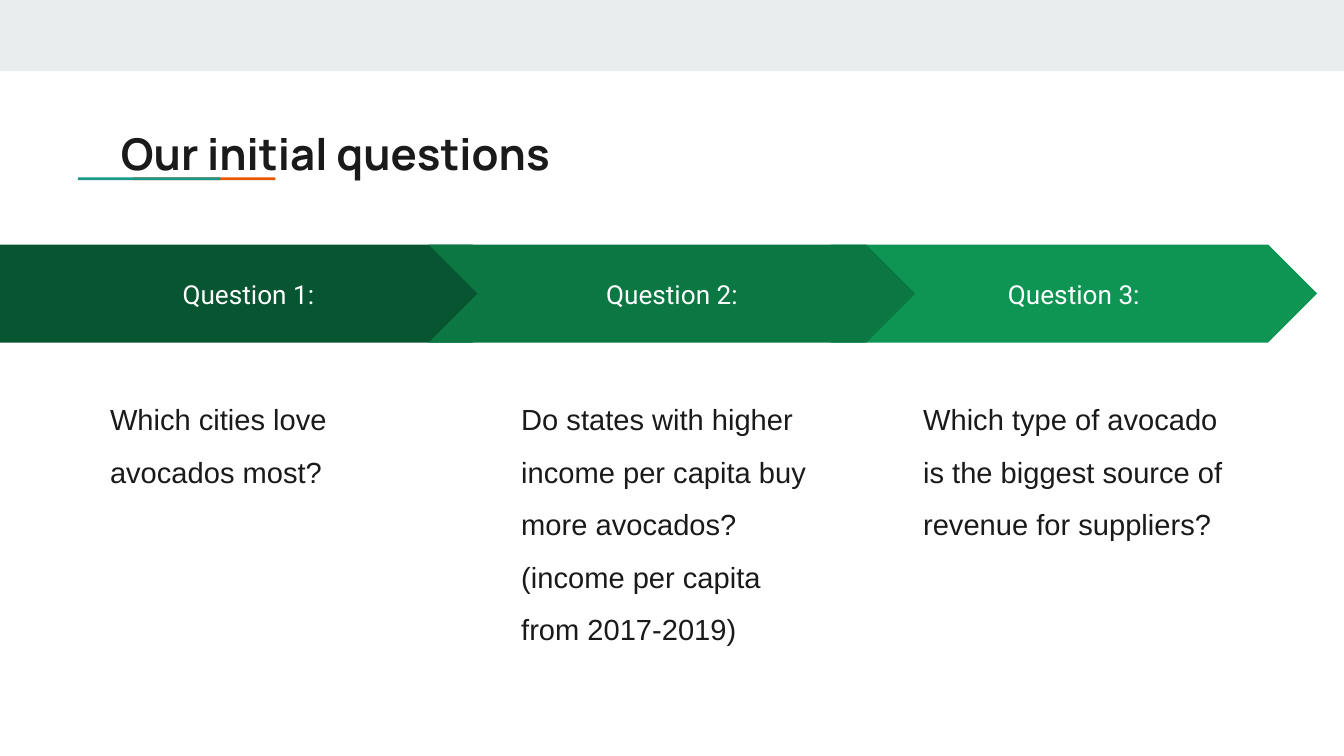
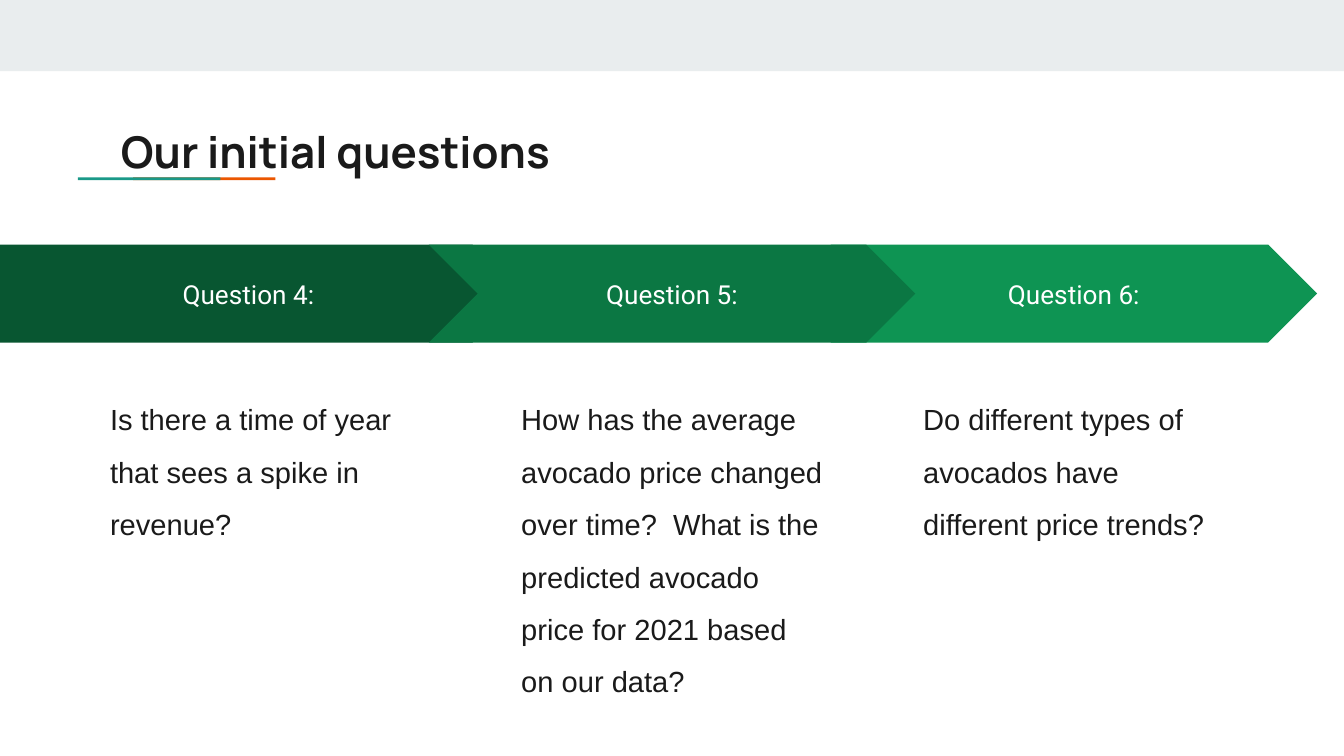
from pptx import Presentation
from pptx.dml.color import RGBColor
from pptx.enum.shapes import MSO_SHAPE as Preset
from pptx.enum.text import MSO_ANCHOR as Anchor, MSO_AUTO_SIZE as AutoSize, PP_ALIGN as Align
from pptx.util import Inches, Pt

COLORS = {
    "band": "E9EDEE",
    "orange": "EB5600",
    "teal": "1A9988",
    "ink": "1A1A1A",
    "white": "FFFFFF",
    "dark green": "085631",
    "mid green": "0B7743",
    "light green": "0E9453",
}

# Shared decoration: color, left, top, width, height
DECORATION = [
    ("band", 0, 0, 10, 0.53),
    ("orange", 0.99, 1.32, 1.06, 0.02),
    ("teal", 0.58, 1.32, 1.06, 0.02),
]

# Columns from back to front: index, preset, color, arrow left, arrow width, text left
COLUMNS = [
    (2, Preset.CHEVRON, "light green", 6.18, 3.62, 6.77),
    (0, Preset.PENTAGON, "dark green", 0, 3.88, 0.72),
    (1, Preset.CHEVRON, "mid green", 3.19, 3.62, 3.78),
]

# Title top and the three questions of each slide
SLIDES = [
    (0.84, [
        "Which cities love avocados most?",
        "Do states with higher income per capita buy more avocados? "
        "(income per capita from 2017-2019)",
        "Which type of avocado is the biggest source of revenue for suppliers?",
    ]),
    (0.83, [
        "Is there a time of year that sees a spike in revenue?",
        "How has the average avocado price changed over time?  "
        "What is the predicted avocado price for 2021 based on our data?",
        "Do different types of avocados have different price trends?",
    ]),
]


def add_block(slide, preset, color, left, top, width, height):
    shape = slide.shapes.add_shape(
        preset, Inches(left), Inches(top), Inches(width), Inches(height))
    shape.shadow.inherit = False
    shape.fill.solid()
    shape.fill.fore_color.rgb = RGBColor.from_string(COLORS[color])
    shape.line.fill.background()
    return shape


def write_text(shape, text, font_name, size, color, anchor, align=Align.LEFT):
    frame = shape.text_frame
    frame.text = text
    frame.word_wrap = True
    frame.auto_size = AutoSize.NONE
    frame.vertical_anchor = anchor
    frame.margin_left = frame.margin_right = Inches(0.1)
    frame.margin_top = frame.margin_bottom = Inches(0.1)
    paragraph = frame.paragraphs[0]
    paragraph.alignment = align
    paragraph.font.name = font_name
    paragraph.font.size = Pt(size)
    paragraph.font.color.rgb = RGBColor.from_string(COLORS[color])
    return paragraph


# Widescreen page, 16:9
presentation = Presentation()
presentation.slide_width = Inches(10)
presentation.slide_height = Inches(10) * 9 // 16
title_only = presentation.slide_layouts[5]

# Layout: drop the unused footers, keep the title
layout_title, *footers = title_only.placeholders
for footer in footers:
    footer.element.getparent().remove(footer.element)

slides = [presentation.slides.add_slide(title_only) for _ in SLIDES]

# Layout: top band and two-color underline, behind the title
decoration = [add_block(slides[0], Preset.RECTANGLE, *block) for block in DECORATION]
for shape in decoration:
    layout_title.element.addprevious(shape.element)

for slide_index, (slide, (title_top, questions)) in enumerate(zip(slides, SLIDES)):
    # Title
    title = slide.shapes.title
    title.left, title.top = Inches(0.8), Inches(title_top)
    title.width, title.height = Inches(8.41), Inches(0.59)
    paragraph = write_text(
        title, "Our initial questions", "Manrope", 23.4, "ink", Anchor.TOP)
    paragraph.font.bold = True

    # Arrows with the questions below them
    for column, preset, color, arrow_left, arrow_width, text_left in COLUMNS:
        number = slide_index * len(COLUMNS) + column + 1
        arrow = add_block(slide, preset, color, arrow_left, 1.82, arrow_width, 0.73)
        write_text(arrow, f"Question {number}:", "Roboto", 14, "white",
                   Anchor.MIDDLE, Align.CENTER)

        text_box = slide.shapes.add_textbox(
            Inches(text_left), Inches(2.76), Inches(2.45), Inches(2.86))
        paragraph = write_text(
            text_box, questions[column], "Arial", 15.6, "ink", Anchor.TOP)
        paragraph.line_spacing = 1.5

presentation.save("out.pptx")
